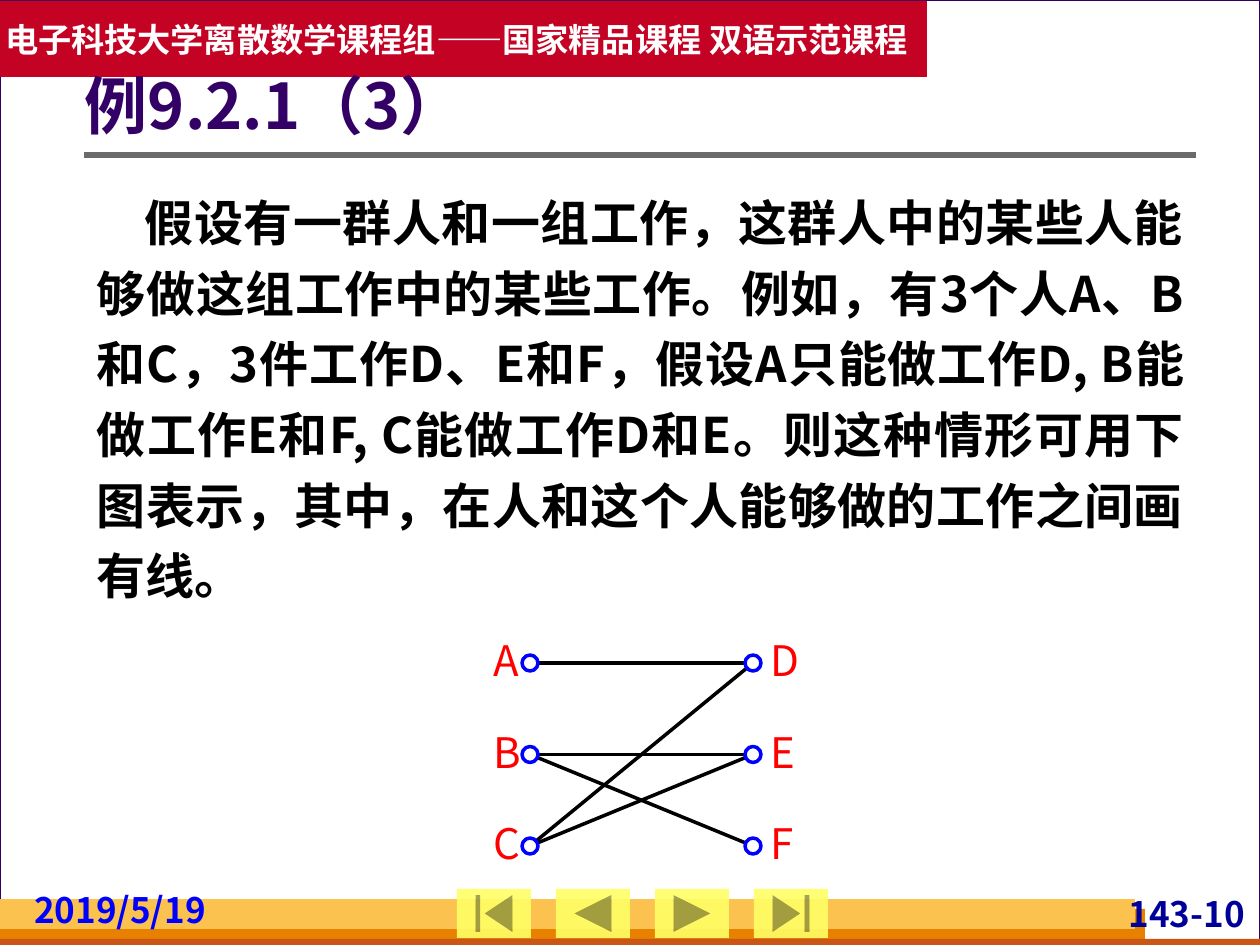
import pptx
import pptx.dml.color
import pptx.enum.shapes
import pptx.enum.text
import pptx.oxml.ns
import pptx.util
from lxml import etree

EMU_PER_PX = 914400 / 126
FONT = "Noto Sans CJK SC"
WHITE = pptx.dml.color.RGBColor(0xFF, 0xFF, 0xFF)
BLACK = pptx.dml.color.RGBColor(0x00, 0x00, 0x00)
GREY = pptx.dml.color.RGBColor(0x6B, 0x6B, 0x6B)
PALE_GREY = pptx.dml.color.RGBColor(0xD8, 0xDA, 0xDA)
INDIGO = pptx.dml.color.RGBColor(0x33, 0x00, 0x66)
NAVY = pptx.dml.color.RGBColor(0x00, 0x00, 0x99)
BLUE = pptx.dml.color.RGBColor(0x00, 0x00, 0xFF)
RED = pptx.dml.color.RGBColor(0xFF, 0x00, 0x00)
CRIMSON = pptx.dml.color.RGBColor(0xC3, 0x02, 0x24)
ORANGE = pptx.dml.color.RGBColor(0xE8, 0x80, 0x00)
RUST = pptx.dml.color.RGBColor(0xC9, 0x56, 0x16)
AMBER = pptx.dml.color.RGBColor(0xFC, 0xC2, 0x4F)
YELLOW = pptx.dml.color.RGBColor(0xFF, 0xFF, 0x66)

SHAPES = pptx.enum.shapes.MSO_SHAPE
ALIGN = pptx.enum.text.PP_ALIGN
ANCHOR = pptx.enum.text.MSO_ANCHOR
BODY_TEXT = (
    "假设有一群人和一组工作，这群人中的某些人能够做这组工作中的某些工作。"
    "例如，有3个人A、B和C，3件工作D、E和F，假设A只能做工作D, "
    "B能做工作E和F, C能做工作D和E。则这种情形可用下图表示，"
    "其中，在人和这个人能够做的工作之间画有线。"
)


def px(length):
    """Turn a length in px into EMU."""
    return pptx.util.Emu(round(length * EMU_PER_PX))


def apply_format(target, values):
    """Set every attribute in values on target."""
    for name, value in values.items():
        setattr(target, name, value)


def add_shape(slide, kind, box, fill, line=None, line_width=1):
    """Add a filled preset shape, outlined only when a line colour is given."""
    shape = slide.shapes.add_shape(kind, *map(px, box))
    shape.shadow.inherit = False
    shape.fill.solid()
    shape.fill.fore_color.rgb = fill
    if line is None:
        shape.line.fill.background()
    else:
        shape.line.color.rgb = line
        shape.line.width = pptx.util.Pt(line_width)
    return shape


def add_line(slide, start, end, color, width):
    """Add a straight line without a shadow."""
    line = slide.shapes.add_connector(
        pptx.enum.shapes.MSO_CONNECTOR.STRAIGHT, *map(px, (*start, *end))
    )
    line.line.color.rgb = color
    line.line.width = pptx.util.Pt(width)
    etree.SubElement(line._element.spPr, pptx.oxml.ns.qn("a:effectLst"))


def write_text(shape, text, size, color, insets, bold=True, indent=0,
               anchor=ANCHOR.TOP, wrap=True, alignment=ALIGN.LEFT, line_spacing=None):
    """Write one formatted paragraph into a shape."""
    frame = shape.text_frame
    sides = ("margin_left", "margin_top", "margin_right", "margin_bottom")
    apply_format(frame, dict(zip(sides, map(px, insets))))
    apply_format(frame, {"word_wrap": wrap, "vertical_anchor": anchor})
    paragraph = frame.paragraphs[0]
    apply_format(paragraph, {"alignment": alignment, "line_spacing": line_spacing})
    if indent:
        paragraph._p.get_or_add_pPr().set("indent", str(px(indent)))
    run = paragraph.add_run()
    run.text = text
    apply_format(run.font, {"name": FONT, "size": pptx.util.Pt(size), "bold": bold})
    run.font.color.rgb = color
    east_asian = etree.SubElement(run._r.get_or_add_rPr(), pptx.oxml.ns.qn("a:ea"))
    east_asian.set("typeface", FONT)


def add_text(slide, box, *content, **layout):
    """Add a text box holding one paragraph."""
    write_text(slide.shapes.add_textbox(*map(px, box)), *content, **layout)


def draw_background(slide, box):
    """Draw the framed page inside the box."""
    slide.background.fill.solid()
    slide.background.fill.fore_color.rgb = PALE_GREY
    add_shape(slide, SHAPES.RECTANGLE, box, WHITE, INDIGO, 0.75)


def draw_footer(slide, box):
    """Draw the footer bands, date, page number and buttons in the box."""
    left, top, width, height = box
    bands = ((10, 1145, 36, ORANGE), (40, width, 10, RUST), (0, 1135, 30, AMBER))
    for offset, band_width, band_height, color in bands:
        add_shape(slide, SHAPES.RECTANGLE,
                  (left, top + offset, band_width, band_height), color)
    insets = (5, 0, 5, 0)
    add_text(slide, (left + 1096, top - 7, 154, 42), "143-10", 20, NAVY, insets,
             alignment=ALIGN.RIGHT)
    add_text(slide, (left + 29, top - 11, 208, 42), "2019/5/19", 20, BLUE, insets)
    draw_buttons(slide, (left + 457, top - 10, 74, 49))


def draw_buttons(slide, first_box):
    """Draw the row of translucent navigation buttons from its first box."""
    left, top, width, height = first_box
    kinds = (SHAPES.ACTION_BUTTON_BEGINNING, SHAPES.ACTION_BUTTON_BACK_OR_PREVIOUS,
             SHAPES.ACTION_BUTTON_FORWARD_OR_NEXT, SHAPES.ACTION_BUTTON_END)
    for index, kind in enumerate(kinds):
        button = add_shape(slide, kind, (left + 99 * index, top, width, height), YELLOW)
        color = button._element.spPr.find(".//" + pptx.oxml.ns.qn("a:srgbClr"))
        etree.SubElement(color, pptx.oxml.ns.qn("a:alpha")).set("val", "90000")


def draw_header(slide, box):
    """Draw the course banner, the title and its rule in the box."""
    left, top, width, height = box
    banner = add_shape(slide, SHAPES.RECTANGLE, (left, top, 927, 76), CRIMSON)
    write_text(banner, "电子科技大学离散数学课程组——国家精品课程 双语示范课程", 19, WHITE,
               (5, 6, 5, 6), anchor=ANCHOR.MIDDLE, wrap=False)
    rule = top + height
    add_line(slide, (left + 84, rule), (left + width, rule), GREY, 3)
    add_text(slide, (left + 85, top + 45, width - 85, 127), "例9.2.1（3）", 36, INDIGO,
             (0, 6, 13, 6), anchor=ANCHOR.MIDDLE, line_spacing=0.9)


def draw_body(slide, box):
    """Write the example's justified paragraph in the box."""
    add_text(slide, box, BODY_TEXT, 28, BLACK, (13, 6, 11, 6), indent=48,
             alignment=ALIGN.JUSTIFY, line_spacing=1.2)


def draw_graph(slide, box):
    """Draw the bipartite graph of people and jobs in the box."""
    left, top, width, height = box
    radius, label_width, label_height = 8, 15, 50
    row_gap = (height - label_height) / 2
    columns = (("ABC", left + 36, left),
               ("DEF", left + 259, left + width - label_width))
    centers = {}
    for names, center_x, label_x in columns:
        for row, name in enumerate(names):
            label_y = top + row * row_gap
            centers[name] = (center_x, label_y + 28)
            add_text(slide, (label_x, label_y, label_width, label_height), name, 24, RED,
                     (0, 0, 0, 0), bold=False)
    for person, job in ("AD", "BE", "BF", "CD", "CE"):
        add_line(slide, centers[person], centers[job], BLACK, 2)
    for x, y in centers.values():
        add_shape(slide, SHAPES.OVAL, (x - radius, y - radius, 2 * radius, 2 * radius),
                  WHITE, BLUE, 2)


def main():
    """Build the slide and save it."""
    presentation = pptx.Presentation()
    apply_format(presentation, {"slide_width": px(1260), "slide_height": px(945)})
    slide = presentation.slides.add_slide(presentation.slide_layouts[6])
    draw_background(slide, (0, 0, 1260, 945))
    draw_footer(slide, (0, 899, 1260, 46))
    draw_header(slide, (0, 1, 1196, 154))
    draw_body(slide, (84, 175, 1111, 437))
    draw_graph(slide, (494, 635, 292, 233))
    presentation.save("out.pptx")


if __name__ == "__main__":
    main()
